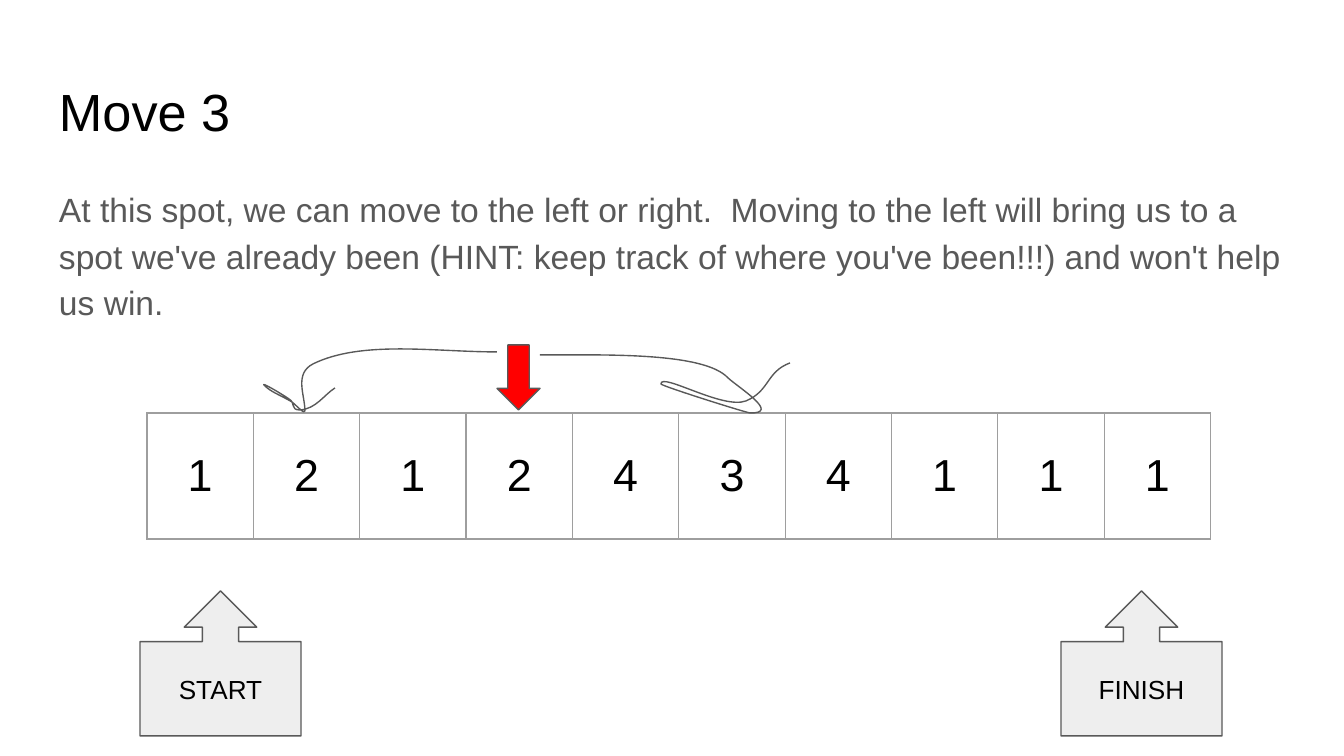
from lxml import etree
from pptx import Presentation
from pptx.dml.color import RGBColor
from pptx.enum.shapes import MSO_SHAPE
from pptx.enum.text import MSO_ANCHOR, MSO_AUTO_SIZE, PP_ALIGN
from pptx.oxml.ns import qn
from pptx.util import Pt

UP_CALLOUT = MSO_SHAPE.UP_ARROW_CALLOUT
DOWN_ARROW = MSO_SHAPE.DOWN_ARROW
TOP, MIDDLE = MSO_ANCHOR.TOP, MSO_ANCHOR.MIDDLE
LEFT, CENTER = PP_ALIGN.LEFT, PP_ALIGN.CENTER
NO_FIT = MSO_AUTO_SIZE.NONE
EMU_PER_PX = 914400 / 134.4
COLORS = {"text": "000000", "body": "595959", "outline": "595959",
          "grid": "9E9E9E", "callout": "EEEEEE", "marker": "FF0000"}
FONT = "Arial"
INSET = 13

LEFT_MOVE = [(236, 4), (174, 4), (101, -8), (52, 16), (33, 26), (44, 47), (44, 63),
             (44, 67), (36, 58), (31, 54), (19, 47), (10, 44), (4, 38),
             (-3, 32), (21, 46), (28, 51), (35, 55), (29, 62), (39, 62),
             (55, 61), (63, 47), (74, 40)]
RIGHT_MOVE = [(0, 0), (65, 0), (164, -3), (188, 23), (199, 33), (241, 59), (210, 58),
              (207, 58), (121, 31), (121, 29), (121, 17), (183, 55), (206, 46),
              (230, 36), (226, 17), (250, 8)]


def px(n):
    return round(n * EMU_PER_PX)


def rgb(name):
    return RGBColor.from_string(COLORS[name])


def write(tf, text, size, color="text", align=LEFT, anchor=TOP):
    tf.text = text
    tf.word_wrap = True
    tf.auto_size = NO_FIT
    tf.vertical_anchor = anchor
    tf.margin_left = tf.margin_right = tf.margin_top = tf.margin_bottom = px(INSET)
    p = tf.paragraphs[0]
    p.alignment = align
    p.font.name, p.font.size = FONT, Pt(size)
    p.font.color.rgb = rgb(color)
    return p


def outline(sp):
    sp.shadow.inherit = False
    sp.line.color.rgb = rgb("outline")
    sp.line.width = Pt(0.75)


def add_title(s, x, y, w, h, text):
    sp = s.shapes.title
    sp.left, sp.top, sp.width, sp.height = px(x), px(y), px(w), px(h)
    write(sp.text_frame, text, 28)


def add_body(s, x, y, w, h, text):
    sp = s.shapes.add_textbox(px(x), px(y), px(w), px(h))
    p = write(sp.text_frame, text, 18, "body")
    p.line_spacing = 1.15
    p.space_after = Pt(16)


def border_cell(cell):
    tcPr = cell._tc.get_or_add_tcPr()
    for i, side in enumerate(("a:lnL", "a:lnR", "a:lnT", "a:lnB")):
        ln = etree.Element(qn(side), w=str(Pt(0.75)))
        fill = etree.SubElement(ln, qn("a:solidFill"))
        etree.SubElement(fill, qn("a:srgbClr"), val=COLORS["grid"])
        tcPr.insert(i, ln)


def add_board(s, x, y, w, h, numbers):
    table = s.shapes.add_table(1, len(numbers), px(x), px(y), px(w), px(h)).table
    table.first_row = table.horz_banding = False
    for col, cell, number in zip(table.columns, table.iter_cells(), numbers):
        col.width = px(w / len(numbers))
        cell.fill.background()
        cell.vertical_anchor = MIDDLE
        cell.margin_left = cell.margin_right = px(INSET)
        cell.margin_top = cell.margin_bottom = px(INSET)
        cell.text = str(number)
        p = cell.text_frame.paragraphs[0]
        p.alignment = CENTER
        p.font.name, p.font.size = FONT, Pt(24)
        p.font.color.rgb = rgb("text")
        border_cell(cell)


def add_block(s, kind, x, y, w, h, color):
    sp = s.shapes.add_shape(kind, px(x), px(y), px(w), px(h))
    sp.fill.solid()
    sp.fill.fore_color.rgb = rgb(color)
    outline(sp)
    return sp


def add_callout(s, x, y, w, h, text):
    sp = add_block(s, UP_CALLOUT, x, y, w, h, "callout")
    for i, value in enumerate((0.25, 0.25, 0.25, 0.65)):
        sp.adjustments[i] = value
    write(sp.text_frame, text, 14, align=CENTER, anchor=MIDDLE)


def add_command(geometry, tag, points):
    command = etree.SubElement(geometry, qn(tag))
    for dx, dy in points:
        etree.SubElement(command, qn("a:pt"), x=str(px(dx)), y=str(px(dy)))


def add_curve(s, x, y, w, h, points):
    builder = s.shapes.build_freeform(px(x), px(y))
    builder.add_line_segments([(px(x + w), px(y + h))], close=False)
    sp = builder.convert_to_shape()
    geometry = next(sp._element.iter(qn("a:path")))
    for command in list(geometry):
        geometry.remove(command)
    add_command(geometry, "a:moveTo", points[:1])
    for i in range(1, len(points), 3):
        add_command(geometry, "a:cubicBezTo", points[i:i + 3])
    sp.fill.background()
    outline(sp)


def main():
    prs = Presentation()
    prs.slide_width, prs.slide_height = px(1344), px(756)
    s = prs.slides.add_slide(prs.slide_layouts[5])
    add_title(s, 46, 66, 1252, 85, "Move 3")
    add_body(s, 46, 170, 1252, 192,
             "At this spot, we can move to the left or right.  Moving to the left will "
             "bring us to a spot we've already been (HINT: keep track of where you've "
             "been!!!) and won't help us win.")
    add_board(s, 147, 413, 1064, 126, [1, 2, 1, 2, 4, 3, 4, 1, 1, 1])
    for x, label in ((140, "START"), (1061, "FINISH")):
        add_callout(s, x, 591, 161, 145, label)
    add_block(s, DOWN_ARROW, 497, 345, 43, 65, "marker")
    add_curve(s, 261, 348, 236, 64, LEFT_MOVE)
    add_curve(s, 540, 355, 250, 58, RIGHT_MOVE)
    prs.save("out.pptx")


if __name__ == "__main__":
    main()
